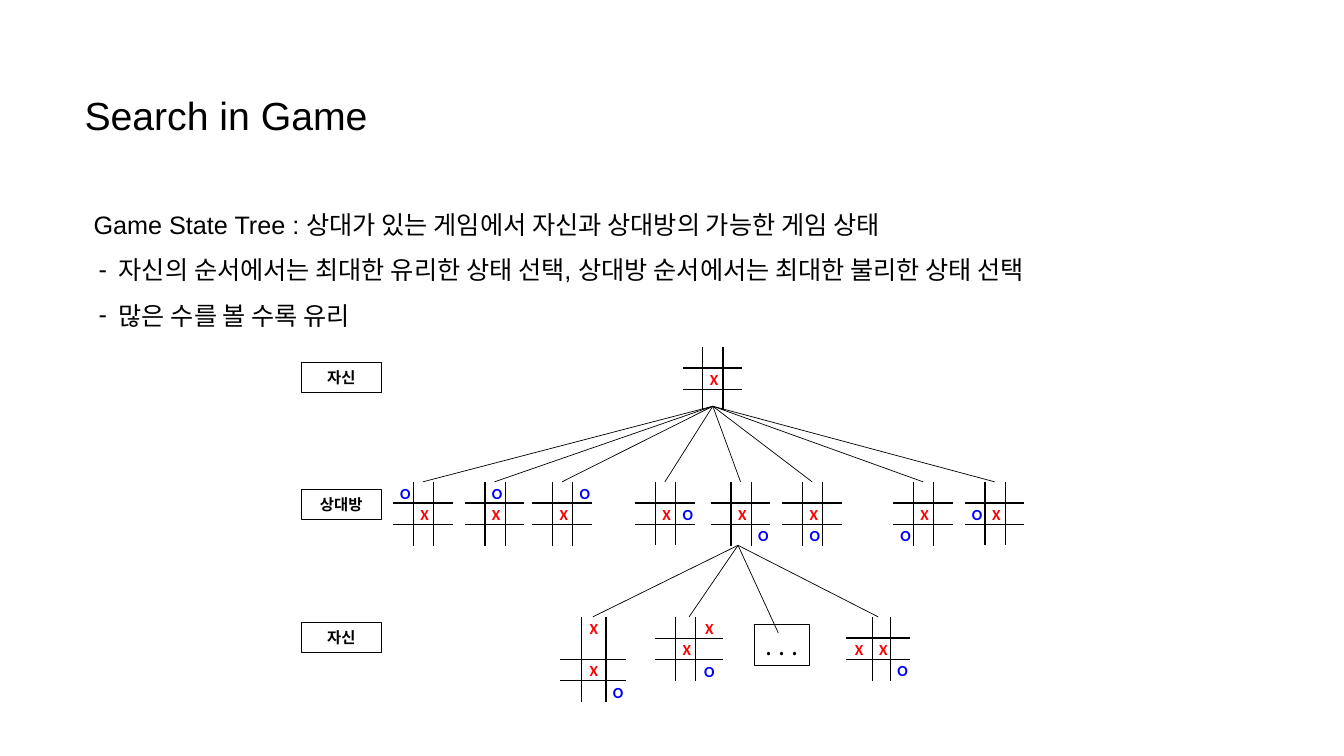
from lxml import etree
from pptx import Presentation
from pptx.dml.color import RGBColor
from pptx.enum.shapes import MSO_CONNECTOR as CONN, MSO_SHAPE as SHAPE
from pptx.enum.text import MSO_ANCHOR as ANCHOR, PP_ALIGN as ALIGN
from pptx.oxml.ns import qn
from pptx.util import Inches, Pt

BLACK, RED, BLUE = "000000", "FF0000", "0000FF"
KOREAN = "Noto Sans CJK KR"
MARK_COLORS = {"X": RED, "O": BLUE}
COLS, ROWS = (0.2, 0.2, 0.19), (0.21, 0.21, 0.21)

# Left edge and marks, row by row
ROOT_BOARD = (6.77, "... .X. ...")
OPPONENT_BOARDS = [
    (3.9, "O.. .X. ..."), (4.61, ".O. .X. ..."), (5.28, "..O .X. ..."),
    (6.3, "... .XO ..."), (7.05, "... .X. ..O"), (7.76, "... .X. .O."),
    (8.86, "... .X. O.."), (9.57, "... OX. ..."),
]
# The same, with column widths and row heights
OWN_BOARDS = [
    (5.55, ".X. .X. ..O", (0.22, 0.24, 0.2), (0.42, 0.21, 0.21)),
    (6.5, "..X .X. ..O", (0.2, 0.2, 0.27), ROWS),
    (8.39, "... XX. ..O", (0.26, 0.18, 0.2), ROWS),
]
LABELS = [("자신", 3.6), ("상대방", 4.86), ("자신", 6.18)]


def rgb(color):
    return RGBColor.from_string(color)


def set_attrs(obj, **values):
    for name, value in values.items():
        setattr(obj, name, value)


def add_run(p, text, size, font, color=BLACK, bold=False):
    r = p.add_run()
    r.text = text
    set_attrs(r.font, size=Pt(size), name=font, bold=bold)
    r.font.color.rgb = rgb(color)
    if font == KOREAN:
        etree.SubElement(r._r.get_or_add_rPr(), qn("a:ea"), typeface=font)


def add_heading(s):
    box = s.shapes.add_textbox(Inches(0.74), Inches(0.62), Inches(11.97), Inches(2.62))
    tf = box.text_frame
    tf.word_wrap = True
    # Text, size, space before, left margin, bulleted
    lines = [
        ("Search in Game", 28, 0, 0, False),
        ("Game State Tree : 상대가 있는 게임에서 자신과 상대방의 가능한 게임 상태",
         18, 40, 0.09, False),
        ("자신의 순서에서는 최대한 유리한 상태 선택, 상대방 순서에서는 최대한 불리한 상태 선택",
         18, 0, 0.34, True),
        ("많은 수를 볼 수록 유리", 18, 0, 0.34, True),
    ]
    for i, (text, size, before, margin, bulleted) in enumerate(lines):
        p = tf.add_paragraph() if i else tf.paragraphs[0]
        set_attrs(p, line_spacing=1.5, space_before=Pt(before))
        pPr = p._p.get_or_add_pPr()
        pPr.set("marL", str(Inches(margin)))
        if bulleted:
            pPr.set("indent", str(Inches(-0.2)))
            etree.SubElement(pPr, qn("a:buFont"), typeface="Arial")
            etree.SubElement(pPr, qn("a:buChar"), char="-")
        add_run(p, text, size, "Arial")


def add_box(s, text, x, y, w, h, size, bold):
    sp = s.shapes.add_shape(SHAPE.RECTANGLE, *map(Inches, (x, y, w, h)))
    sp.shadow.inherit = False
    sp.fill.background()
    sp.line.color.rgb = rgb(BLACK)
    sp.line.width = Pt(0.75)
    tf = sp.text_frame
    set_attrs(tf, margin_left=0, margin_right=0, margin_top=0, margin_bottom=0,
              vertical_anchor=ANCHOR.MIDDLE, word_wrap=True)
    p = tf.paragraphs[0]
    p.alignment = ALIGN.CENTER
    add_run(p, text, size, KOREAN, bold=bold)


def set_borders(cell, row, col):
    """Rule the inner edges and leave the outer ones open."""
    tcPr = cell._tc.get_or_add_tcPr()
    edges = {"lnL": col > 0, "lnR": col < 2, "lnT": row > 0, "lnB": row < 2}
    for i, (tag, ruled) in enumerate(edges.items()):
        ln = etree.Element(qn("a:" + tag), w=str(Pt(1)))
        if ruled:
            fill = etree.SubElement(ln, qn("a:solidFill"))
            etree.SubElement(fill, qn("a:srgbClr"), val=BLACK)
        else:
            etree.SubElement(ln, qn("a:noFill"))
        tcPr.insert(i, ln)


def add_board(s, y, x, marks, cols=COLS, rows=ROWS):
    """Draw a tic-tac-toe board and return the middle of its top edge."""
    frame = s.shapes.add_table(3, 3, Inches(x), Inches(y),
                               Inches(sum(cols)), Inches(sum(rows)))
    table = frame.table
    set_attrs(table, first_row=False, horz_banding=False)
    for i in range(3):
        table.columns[i].width = Inches(cols[i])
        table.rows[i].height = Inches(rows[i])
    for row, line in enumerate(marks.split()):
        for col, mark in enumerate(line):
            cell = table.cell(row, col)
            set_attrs(cell, margin_left=Inches(0.07), margin_right=Inches(0.07),
                      margin_top=0, margin_bottom=0)
            cell.fill.background()
            set_borders(cell, row, col)
            p = cell.text_frame.paragraphs[0]
            if mark in MARK_COLORS:
                set_attrs(p, alignment=ALIGN.CENTER, line_spacing=1.15)
                add_run(p, mark, 11, "Calibri", MARK_COLORS[mark], True)
            else:
                etree.SubElement(p._p, qn("a:endParaRPr"), sz="800")
    return x + sum(cols) / 2, y


def add_branch(s, start, end):
    line = s.shapes.add_connector(CONN.STRAIGHT, *map(Inches, start + end))
    line.line.color.rgb = rgb(BLACK)
    line.line.width = Pt(0.5)
    etree.SubElement(line._element.spPr, qn("a:effectLst"))


def main():
    prs = Presentation()
    set_attrs(prs, slide_width=Inches(13.33), slide_height=Inches(7.5))
    s = prs.slides.add_slide(prs.slide_layouts[6])

    add_heading(s)
    for text, y in LABELS:
        add_box(s, text, 2.99, y, 0.79, 0.29, 11, True)

    # Game tree: first move, replies, next moves
    add_board(s, 3.44, *ROOT_BOARD)
    for board in OPPONENT_BOARDS:
        add_branch(s, (7.07, 4.03), add_board(s, 4.78, *board))
    for board in OWN_BOARDS:
        add_branch(s, (7.32, 5.41), add_board(s, 6.12, *board))

    # Omitted moves
    add_branch(s, (7.32, 5.41), (7.72, 6.28))
    add_box(s, ". . .", 7.48, 6.2, 0.55, 0.4, 18, False)

    prs.save("out.pptx")


if __name__ == "__main__":
    main()
